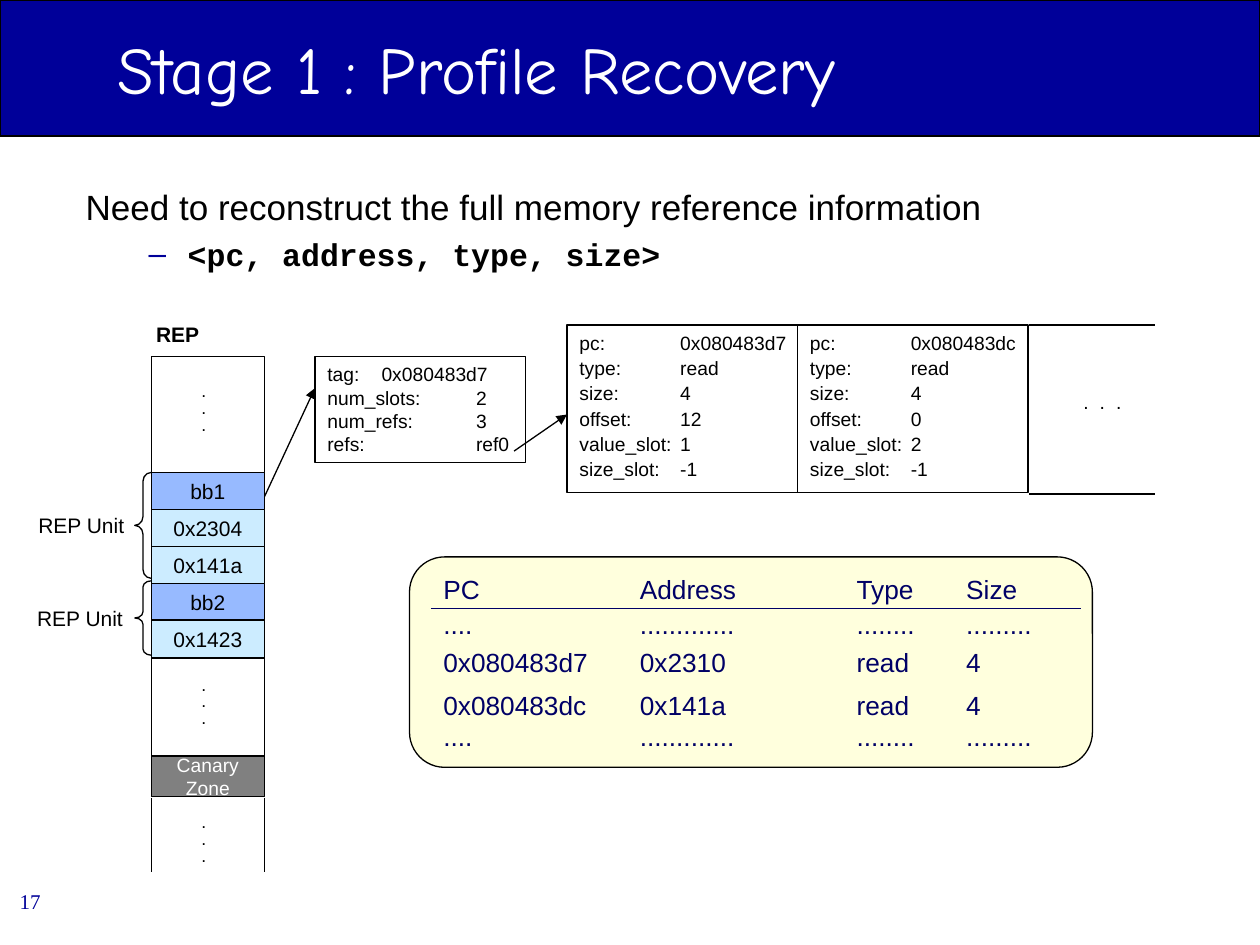
import pptx
import pptx.util
import pptx.dml.color
import pptx.enum.shapes
import pptx.enum.text
import lxml.etree
from pptx.oxml.ns import qn

Inches = pptx.util.Inches
Pt = pptx.util.Pt
rgb = pptx.dml.color.RGBColor.from_string
Kind = pptx.enum.shapes.MSO_SHAPE
Side = pptx.enum.text.PP_ALIGN
Mid = pptx.enum.text.MSO_ANCHOR.MIDDLE

deck = pptx.Presentation()
deck.slide_width, deck.slide_height = Inches(10), Inches(7.5)
slide = deck.slides.add_slide(deck.slide_layouts[1])
shapes = slide.shapes


def put(at, text="", size=12, ink="000000", kind=None, fill=None, side=Side.LEFT,
        font="Arial", tabs=(), gap=None, lead=None):
    spot = [Inches(n) for n in at]
    if kind is None:
        item = shapes.add_textbox(*spot)
    else:
        item = shapes.add_shape(kind, *spot)
        item.shadow.inherit = False
        item.line.color.rgb = rgb("000000")
        item.line.width = Pt(0.75)
        if fill:
            item.fill.solid()
            item.fill.fore_color.rgb = rgb(fill)
        else:
            item.fill.background()
    if not text:
        return item
    frame = item.text_frame
    frame.word_wrap = True
    frame.vertical_anchor = pptx.enum.text.MSO_ANCHOR.TOP
    frame.text = text
    for para in frame.paragraphs:
        para.alignment = side
        if gap:
            para.space_before = Pt(gap)
        if lead:
            para.line_spacing = lead
        for run in para.runs:
            run.font.size = Pt(size)
            run.font.name = font
            run.font.color.rgb = rgb(ink)
        if tabs:
            stops = lxml.etree.SubElement(para._p.get_or_add_pPr(), qn("a:tabLst"))
            for stop in tabs:
                lxml.etree.SubElement(stops, qn("a:tab"), pos=str(Inches(stop)), algn="l")
    return item


def link(x1, y1, x2, y2, ink="000000", arrow=False):
    line = shapes.add_connector(pptx.enum.shapes.MSO_CONNECTOR.STRAIGHT,
                                Inches(x1), Inches(y1), Inches(x2), Inches(y2))
    line.line.color.rgb = rgb(ink)
    line.line.width = Pt(0.75)
    if arrow:
        lxml.etree.SubElement(line.line._get_or_add_ln(), qn("a:tailEnd"), type="triangle")
    lxml.etree.SubElement(line._element.spPr, qn("a:effectLst"))


band = put((0, 0, 10, 1.08), kind=Kind.RECTANGLE, fill="000099")
shapes._spTree.insert(2, band._element)

title = shapes.title
title.left, title.top, title.width, title.height = [Inches(n) for n in (0.83, 0, 9.17, 1.08)]
title.text_frame.text = "Stage 1 : Profile Recovery"
title.text_frame.vertical_anchor = Mid
head = title.text_frame.paragraphs[0]
head.alignment = Side.LEFT
head.runs[0].font.size = Pt(38)
head.runs[0].font.name = "Comic Neue"
head.runs[0].font.color.rgb = rgb("FFFFFF")

body = slide.placeholders[1]
body.left, body.top, body.width, body.height = [Inches(n) for n in (0.58, 1.42, 9.17, 5.17)]
frame = body.text_frame
frame.text = "Need to reconstruct the full memory reference information\n<pc, address, type, size>"
frame.auto_size = pptx.enum.text.MSO_AUTO_SIZE.NONE
looks = [(20, "Arial", False, 5, 0.38, -0.38), (18, "Courier New", True, 4.5, 0.81, -0.31)]
for rank, (para, look) in enumerate(zip(frame.paragraphs, looks)):
    size, font, bold, gap, left, hang = look
    para.level = rank
    para.space_before = Pt(gap)
    run = para.runs[0]
    run.font.size = Pt(size)
    run.font.name = font
    run.font.bold = bold
    run.font.color.rgb = rgb("000000")
    props = para._p.get_or_add_pPr()
    props.set("marL", str(Inches(left)))
    props.set("indent", str(Inches(hang)))
    if rank == 0:
        lxml.etree.SubElement(props, qn("a:buNone"))
    else:
        tint = lxml.etree.SubElement(props, qn("a:buClr"))
        lxml.etree.SubElement(tint, qn("a:srgbClr"), val="000099")
        lxml.etree.SubElement(props, qn("a:buChar"), char="–")

put((1.2, 2.83, 0.9, 3.42), kind=Kind.RECTANGLE)
label = put((1.02, 2.5, 0.78, 0.3), "REP", side=Side.CENTER)
label.text_frame.paragraphs[0].runs[0].font.bold = True
for row, word in enumerate(["bb1", "0x2304", "0x141a", "bb2", "0x1423"]):
    fill = "97BAFF" if word.startswith("bb") else "CCECFF"
    put((1.2, 3.75 + 0.293 * row, 0.9, 0.3), word, kind=Kind.RECTANGLE, fill=fill,
        side=Side.CENTER)
zone = put((1.2, 6, 0.9, 0.32), "Canary\nZone", 11, "FFFFFF", Kind.RECTANGLE, "808080",
           Side.CENTER)
zone.text_frame.vertical_anchor = Mid
zone.text_frame.word_wrap = False
for x in (1.2, 2.1):
    link(x, 6.33, x, 6.92)
for y in (3, 5.33, 6.42):
    put((1.5, y, 0.24, 0.5), ".\n.\n.", 10, lead=0.8)

for top, tall, bend, x, y in [(3.75, 0.84, 0.54, 0.17, 4.02), (4.61, 0.59, 0.38, 0.16, 4.76)]:
    brace = put((1.07, top, 0.13, tall), kind=Kind.LEFT_BRACE)
    brace.adjustments[0] = bend
    put((x, y, 0.95, 0.3), "REP Unit", side=Side.CENTER)

put((2.5, 2.83, 1.67, 0.84), "tag:\t0x080483d7\nnum_slots:\t2\nnum_refs:\t3\nrefs:\t\tref0", 11,
    kind=Kind.RECTANGLE, fill="FFFFFF", tabs=(0.43, 1.18))
link(2.1, 3.94, 2.5, 3.08, arrow=True)

names = ["pc", "type", "size", "offset", "value_slot", "size_slot"]
refs = [(4.5, ["0x080483d7", "read", "4", "12", "1", "-1"]),
        (6.33, ["0x080483dc", "read", "4", "0", "2", "-1"])]
for x, vals in refs:
    put((x, 2.58, 1.83, 1.33), kind=Kind.RECTANGLE)
    for row, (name, val) in enumerate(zip(names, vals)):
        put((x, 2.58 + 0.2 * row, 2.42, 0.29), f"{name}:\t{val}", 11, tabs=(0.8,))
link(4.08, 3.58, 4.5, 3.29, arrow=True)
for y in (2.58, 3.92):
    link(8.17, y, 9.17, y)
put((8.5, 3.08, 0.5, 0.25), ".\t.\t.", 11, lead=0.8, tabs=(0.13, 0.26))

put((3.25, 4.42, 5.42, 1.67), kind=Kind.ROUNDED_RECTANGLE, fill="FFFFDD")
dots = "....\t.............\t........\t........."
rows = [(4.5, "PC\tAddress\tType\tSize\n" + dots),
        (5.08, "0x080483d7\t0x2310\tread\t4"),
        (5.42, "0x080483dc\t0x141a\tread\t4"),
        (5.67, dots)]
for y, text in rows:
    put((3.42, y, 5.42, 0.35), text, 15, "000066", tabs=(1.56, 3.28, 4.15), gap=1.9)
link(3.42, 4.83, 8.58, 4.83, "000066")

put((0, 7, 0.42, 0.35), "17", 12, "000099", side=Side.RIGHT, font="Times New Roman")

deck.save("out.pptx")
